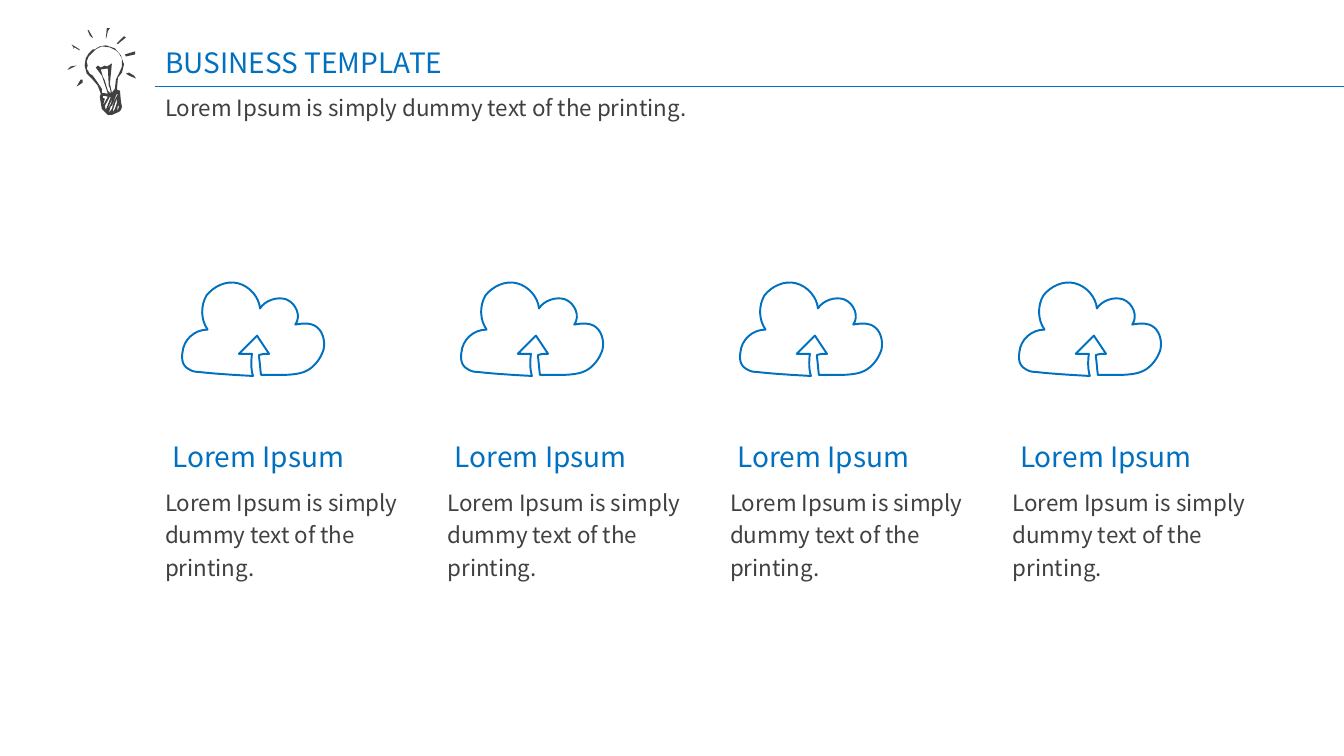
from dataclasses import dataclass

from lxml.etree import SubElement
from pptx import Presentation
from pptx.dml.color import RGBColor
from pptx.enum.shapes import MSO_CONNECTOR
from pptx.enum.text import MSO_ANCHOR, MSO_AUTO_SIZE, PP_ALIGN
from pptx.oxml.ns import qn
from pptx.util import Cm, Pt

FONT = "Noto Sans CJK SC"
COLOURS = {"accent": "0070C0", "ink": "404040"}
UNIT = Cm(2.54) / 100  # outlines are drawn in hundredths of an inch
LEFT = 3.91
COLUMN_COUNT = 4
COLUMN_STEP = 7.12
CLOUD_STEP = 7.03
CURVE_STEPS = 8

Point = tuple[float, float]


@dataclass(frozen=True)
class TextStyle:
    size: int
    colour: str
    align: PP_ALIGN = PP_ALIGN.LEFT
    line_spacing: float = 1.0
    wrap: bool = True


@dataclass(frozen=True)
class Block:
    """A text with its place in centimetres."""
    text: str
    left: float
    top: float
    width: float
    height: float
    style: TextStyle


TITLE = Block("BUSINESS TEMPLATE", LEFT, 1.02, 8.31, 1.12, TextStyle(20, "accent"))
SENTENCE = "Lorem Ipsum is simply dummy text of the printing."
SUBTITLE = Block(SENTENCE, LEFT, 2.26, 14.94, 0.94, TextStyle(16, "ink"))
COLUMN_BLOCKS = [
    Block("Lorem Ipsum ", 0, 10.95, 5.18, 1.12,
          TextStyle(20, "accent", PP_ALIGN.RIGHT, wrap=False)),
    Block(SENTENCE, 0, 12.07, 6.58, 2.64, TextStyle(16, "ink", line_spacing=1.2)),
]

RAYS: list[list[Point]] = [
    [(106, 28), (105, 39), (106, 36), (107, 31), (109, 28)],
    [(87, 30), (89, 35), (92, 38), (92, 37), (88, 30)],
    [(123, 36), (116, 43), (117, 44), (119, 42), (124, 38), (125, 37)],
    [(71, 44), (73, 47), (73, 49), (74, 47), (79, 50), (79, 49)],
    [(124, 54), (125, 56), (134, 54), (134, 51)],
    [(125, 73), (128, 75), (135, 78), (133, 75), (128, 72)],
    [(80, 79), (76, 86), (82, 82), (82, 79)],
    [(67, 69), (68, 69), (76, 65), (70, 66)],
]
BULB: list[list[Point]] = [
    # Outer edge
    [(120, 55), (114, 48), (105, 45), (99, 46), (94, 49), (92, 49), (88, 53), (85, 58),
     (84, 65), (86, 73), (92, 79), (97, 85), (100, 93), (99, 96), (101, 108), (107, 114),
     (111, 114), (118, 111), (120, 109), (121, 106), (120, 101), (119, 90), (116, 89),
     (117, 77), (121, 72), (123, 64)],
    # Gaps between the strokes of the screw cap
    [(102, 105), (104, 98), (102, 97), (102, 95), (104, 95), (107, 96)],
    [(104, 105), (109, 96), (110, 96), (105, 109)],
    [(106, 110), (112, 96), (110, 103)],
    [(116, 111), (117, 104), (118, 106)],
    [(114, 108), (112, 111), (112, 109), (116, 97), (116, 102)],
    [(117, 94), (116, 95), (113, 101), (111, 108), (108, 112), (110, 105), (111, 105),
     (115, 95), (116, 93)],
    # Filament
    [(108, 86), (109, 87), (110, 93), (107, 90), (104, 80), (102, 76), (100, 69),
     (106, 68), (107, 68)],
    # Inside of the glass
    [(115, 79), (114, 88), (111, 92), (109, 83), (111, 63), (106, 66), (104, 65),
     (100, 67), (97, 65), (95, 67), (101, 75), (107, 93), (101, 92), (101, 88), (97, 82),
     (92, 75), (89, 73), (86, 68), (87, 65), (86, 61), (88, 56), (95, 49), (101, 46),
     (109, 47), (115, 50), (118, 53), (121, 58), (121, 66), (118, 73)],
]
CLOUD_START: Point = (206, 327)
# Each curve: two control points, then the end point
CLOUD_CURVES: list[tuple[Point, Point, Point]] = [
    ((193, 327), (182, 337), (181, 350)), ((180, 356), (181, 363), (187, 366)),
    ((190, 368), (193, 369), (197, 369)), ((215, 371), (233, 372), (251, 373)),
    ((249, 366), (249, 359), (250, 351)), ((245, 351), (241, 351), (237, 351)),
    ((243, 345), (249, 339), (255, 333)), ((259, 339), (263, 345), (267, 351)),
    ((264, 351), (261, 351), (258, 352)), ((257, 352), (257, 352), (257, 354)),
    ((258, 361), (258, 365), (259, 372)), ((263, 372), (269, 372), (274, 372)),
    ((284, 372), (296, 372), (304, 368)), ((312, 364), (318, 356), (321, 347)),
    ((323, 338), (320, 327), (312, 323)), ((306, 320), (299, 321), (293, 322)),
    ((299, 314), (294, 301), (284, 297)), ((275, 294), (263, 298), (258, 306)),
    ((257, 295), (248, 284), (236, 281)), ((225, 278), (212, 284), (205, 293)),
    ((199, 303), (199, 317), (206, 327)),
]


def colour(name: str) -> RGBColor:
    return RGBColor.from_string(COLOURS[name])


def cloud_outline() -> list[Point]:
    """Follow the cubic curves of the cloud in short straight steps."""
    outline = [CLOUD_START]
    for first, second, end in CLOUD_CURVES:
        start = outline[-1]
        for step in range(1, CURVE_STEPS + 1):
            t = step / CURVE_STEPS
            u = 1 - t
            x, y = (u**3 * a + 3 * u * u * t * b + 3 * u * t * t * c + t**3 * d
                    for a, b, c, d in zip(start, first, second, end))
            outline.append((x, y))
    return outline


def draw_outline(shapes, contours: list[list[Point]], offset: int = 0):
    """Draw closed contours as one shape; inner contours become holes."""
    scaled = [[(x * UNIT + offset, y * UNIT) for x, y in contour] for contour in contours]
    builder = shapes.build_freeform(*scaled[0][0])
    builder.add_line_segments(scaled[0][1:], close=True)
    for contour in scaled[1:]:
        builder.move_to(*contour[0])
        builder.add_line_segments(contour[1:], close=True)
    outline = builder.convert_to_shape()
    outline.shadow.inherit = False
    return outline


def draw_bulb(slide) -> None:
    bulb = slide.shapes.add_group_shape()
    for contours in [*([ray] for ray in RAYS), BULB]:
        stroke = draw_outline(bulb.shapes, contours)
        stroke.fill.solid()
        stroke.fill.fore_color.rgb = colour("ink")
        stroke.line.fill.background()


def draw_cloud(slide, offset: int) -> None:
    cloud = draw_outline(slide.shapes, [cloud_outline()], offset)
    cloud.fill.background()
    cloud.line.color.rgb = colour("accent")
    cloud.line.width = Pt(1.38)


def write_block(holder, block: Block) -> None:
    style = block.style
    frame = holder.text_frame
    frame.text = block.text
    frame.word_wrap = style.wrap
    frame.auto_size = MSO_AUTO_SIZE.SHAPE_TO_FIT_TEXT
    frame.vertical_anchor = MSO_ANCHOR.TOP
    paragraph = frame.paragraphs[0]
    paragraph.alignment = style.align
    paragraph.line_spacing = style.line_spacing
    font = paragraph.runs[0].font
    font.name = FONT
    font.size = Pt(style.size)
    font.color.rgb = colour(style.colour)


def add_block(shapes, block: Block, offset: float = 0) -> None:
    holder = shapes.add_textbox(Cm(block.left + offset), Cm(block.top),
                                Cm(block.width), Cm(block.height))
    write_block(holder, block)


def add_header(slide, slide_width: int) -> None:
    title = slide.shapes.title
    title.left, title.top = Cm(TITLE.left), Cm(TITLE.top)
    title.width, title.height = Cm(TITLE.width), Cm(TITLE.height)
    write_block(title, TITLE)
    add_block(slide.shapes, SUBTITLE)
    rule = slide.shapes.add_connector(MSO_CONNECTOR.STRAIGHT, Cm(LEFT), Cm(2.18),
                                      slide_width, Cm(2.18))
    rule.line.color.rgb = colour("accent")
    rule.line.width = Pt(1)
    SubElement(rule._element.spPr, qn("a:effectLst"))


def main() -> None:
    deck = Presentation()
    deck.slide_width, deck.slide_height = Cm(33.87), Cm(19.05)
    slide = deck.slides.add_slide(deck.slide_layouts[5])
    add_header(slide, deck.slide_width)
    draw_bulb(slide)
    for index in range(COLUMN_COUNT):
        draw_cloud(slide, Cm(index * CLOUD_STEP))
        column = slide.shapes.add_group_shape()
        for block in COLUMN_BLOCKS:
            add_block(column.shapes, block, LEFT + index * COLUMN_STEP)
    deck.save("out.pptx")


if __name__ == "__main__":
    main()
